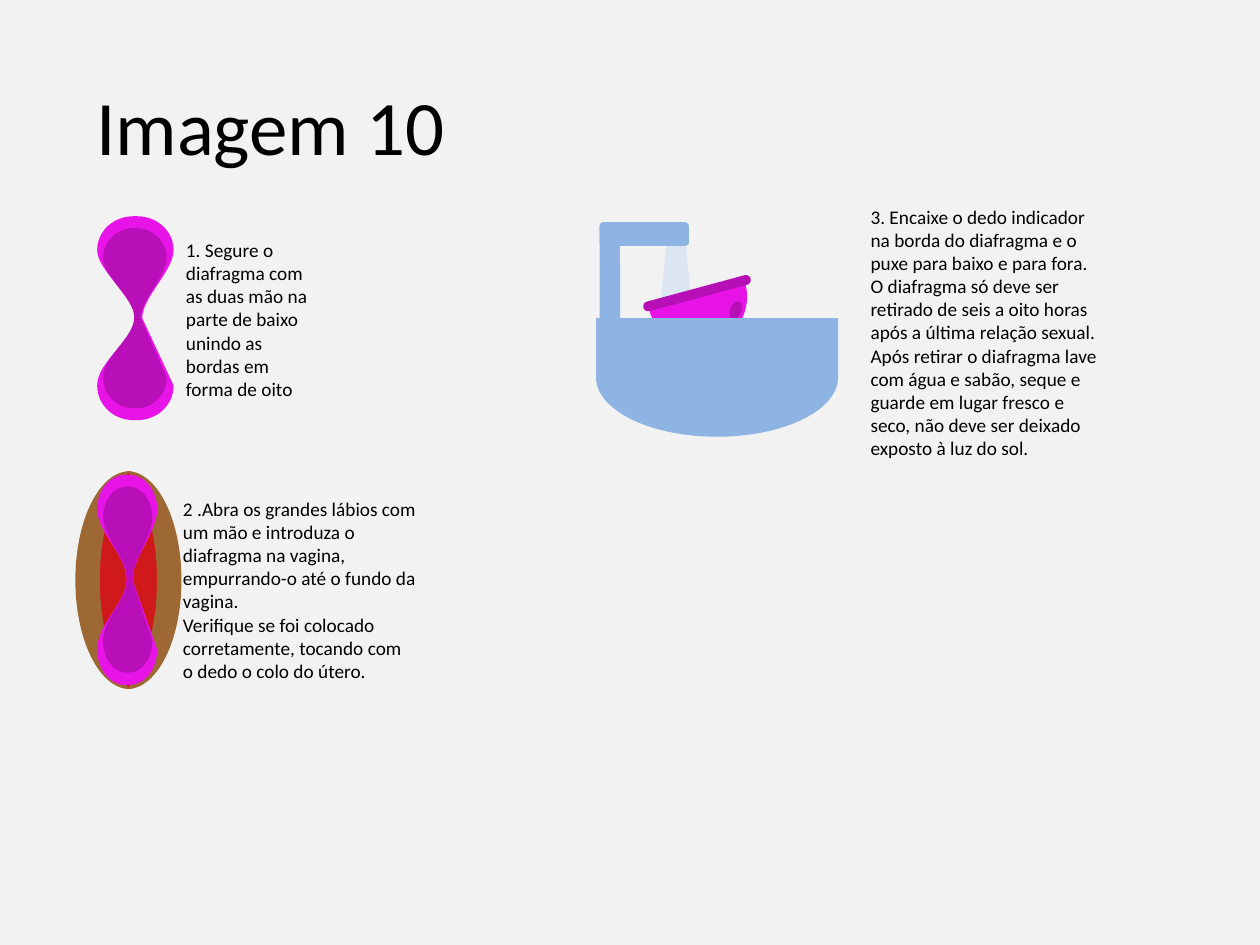
from lxml import etree
from pptx import Presentation
from pptx.dml.color import RGBColor
from pptx.enum.shapes import MSO_SHAPE as Preset
from pptx.enum.text import MSO_ANCHOR, MSO_AUTO_SIZE, PP_ALIGN
from pptx.oxml.ns import qn
from pptx.util import Cm, Pt

COLORS = {
    "background": "F2F2F2", "text": "000000", "rim": "E713E7", "membrane": "B90FB9",
    "edge": "B50FB5", "inside": "D01A1A", "skin": "9D6833",
    "water": "DCE6F2", "sink": "8EB4E3",
}
FONT = "Calibri"

# Outlines in a unit box: a start, then line ends (2 numbers) or Bézier curves (6 numbers).
FIGURE_EIGHT = [
    (0, .165), (0, .075, .21, 0, .475, 0), (.525, 0), (.79, 0, 1, .075, 1, .165),
    (1, .27, .59, .395, .59, .5), (1, .83), (1, .925, .79, 1, .525, 1), (.475, 1),
    (.21, 1, 0, .925, 0, .83), (0, .71, .49, .61, .49, .495),
    (.49, .39, 0, .27, 0, .165),
]
DOME = [(0, 1), (0, .45, .22, 0, .5, 0), (.78, 0, 1, .45, 1, 1)]


def add_figure(group, kind, box, color, rotation=0, adjustment=None):
    """Add a filled preset, or an outline given as a list, in a box of centimetres."""
    if isinstance(kind, list):
        left, top, width, height = box
        ends = [(Cm(left + x * width), Cm(top + y * height)) for *_, x, y in kind]
        builder = group.shapes.build_freeform(*ends[0])
        builder.add_line_segments(ends[1:], close=True)
        shape = builder.convert_to_shape()
        # Turn the straight segments that have control points into curves.
        lines = list(shape._element.iter(qn("a:lnTo")))
        for line, segment in zip(lines, kind[1:]):
            if len(segment) == 6:
                curve = etree.SubElement(line.getparent(), qn("a:cubicBezTo"))
                for x, y in zip(segment[::2], segment[1::2]):
                    etree.SubElement(curve, qn("a:pt"), x=str(Cm(x * width)), y=str(Cm(y * height)))
                line.getparent().replace(line, curve)
    else:
        shape = group.shapes.add_shape(kind, *map(Cm, box))
    shape.shadow.inherit = False
    shape.fill.solid()
    shape.fill.fore_color.rgb = RGBColor.from_string(COLORS[color])
    shape.line.fill.background()
    shape.rotation = rotation
    if adjustment is not None:
        shape.adjustments[0] = adjustment
    return shape


def add_run(paragraph, text, size):
    run = paragraph.add_run()
    run.text = text
    run.font.name = FONT
    run.font.size = Pt(size)
    run.font.color.rgb = RGBColor.from_string(COLORS["text"])


presentation = Presentation()
presentation.slide_width = Cm(25.4)
presentation.slide_height = Cm(19.05)
slide = presentation.slides.add_slide(presentation.slide_layouts[5])
slide.background.fill.solid()
slide.background.fill.fore_color.rgb = RGBColor.from_string(COLORS["background"])

title = slide.shapes.title
title.left, title.top, title.width, title.height = map(Cm, (1.14, 0.93, 8.64, 3.18))
title.text_frame.vertical_anchor = MSO_ANCHOR.MIDDLE
title_paragraph = title.text_frame.paragraphs[0]
title_paragraph.alignment = PP_ALIGN.CENTER
add_run(title_paragraph, "Imagem 10", 44)

fold, insertion, washing = [slide.shapes.add_group_shape() for _ in range(3)]

# Step 1: folded diaphragm
add_figure(fold, FIGURE_EIGHT, (1.96, 4.36, 1.54, 4.11), "rim")
add_figure(fold, FIGURE_EIGHT, (2.08, 4.6, 1.28, 3.63), "membrane")

# Step 2: insertion
add_figure(insertion, Preset.OVAL, (1.9, 9.5, 1.4, 4.39), "inside")
right_side = add_figure(insertion, Preset.MOON, (2.57, 9.5, 1.09, 4.39), "skin", adjustment=.452)
right_side._element.spPr.xfrm.set("flipH", "1")
add_figure(insertion, Preset.MOON, (1.52, 9.5, 1.09, 4.39), "skin", adjustment=.452)
add_figure(insertion, FIGURE_EIGHT, (1.96, 9.57, 1.21, 4.24), "rim")
add_figure(insertion, FIGURE_EIGHT, (2.08, 9.81, 0.99, 3.75), "membrane")

# Step 3: washing under the tap
TILT = 164.9
add_figure(washing, Preset.TRAPEZOID, (13.25, 4.85, 0.76, 1.96), "water")
add_figure(washing, DOME, (13.18, 5.97, 2.01, 0.99), "rim", TILT)
add_figure(washing, Preset.ROUNDED_RECTANGLE, (12.93, 5.81, 2.24, 0.2), "edge", TILT, .486)
add_figure(washing, Preset.OVAL, (14.64, 6.14, 0.38, 0.23), "edge", 110.7)
add_figure(washing, Preset.FLOWCHART_DELAY, (13.26, 5.17, 2.39, 4.88), "sink", 90)
add_figure(washing, Preset.ROUNDED_RECTANGLE, (12.09, 4.48, 0.41, 2.01), "sink")
add_figure(washing, Preset.ROUNDED_RECTANGLE, (12.09, 4.48, 1.8, 0.48), "sink")

instructions = [
    (fold, (3.5, 4.68, 3.2, 3.56), [
        "1. Segure o diafragma com as duas mão na parte de baixo unindo as bordas "
        "em forma de oito",
    ]),
    (insertion, (3.44, 9.9, 5.2, 4.01), [
        "2 .Abra os grandes lábios com um mão e introduza o diafragma na vagina, "
        "empurrando-o até o fundo da vagina.",
        "Verifique se foi colocado corretamente, tocando com o dedo o colo do útero.",
    ]),
    (washing, (17.3, 4.01, 5.21, 5.44), [
        "3. Encaixe o dedo indicador na borda do diafragma e o puxe para baixo e para "
        "fora. O diafragma só deve ser retirado de seis a oito horas após a última "
        "relação sexual.",
        "Após retirar o diafragma lave com água e sabão, seque e guarde em lugar fresco "
        "e seco, não deve ser deixado exposto à luz do sol.",
    ]),
]
for group, box, texts in instructions:
    frame = group.shapes.add_textbox(*map(Cm, box)).text_frame
    frame.word_wrap = True
    frame.auto_size = MSO_AUTO_SIZE.SHAPE_TO_FIT_TEXT
    for index, text in enumerate(texts):
        paragraph = frame.add_paragraph() if index else frame.paragraphs[0]
        add_run(paragraph, text, 11)

presentation.save("out.pptx")
